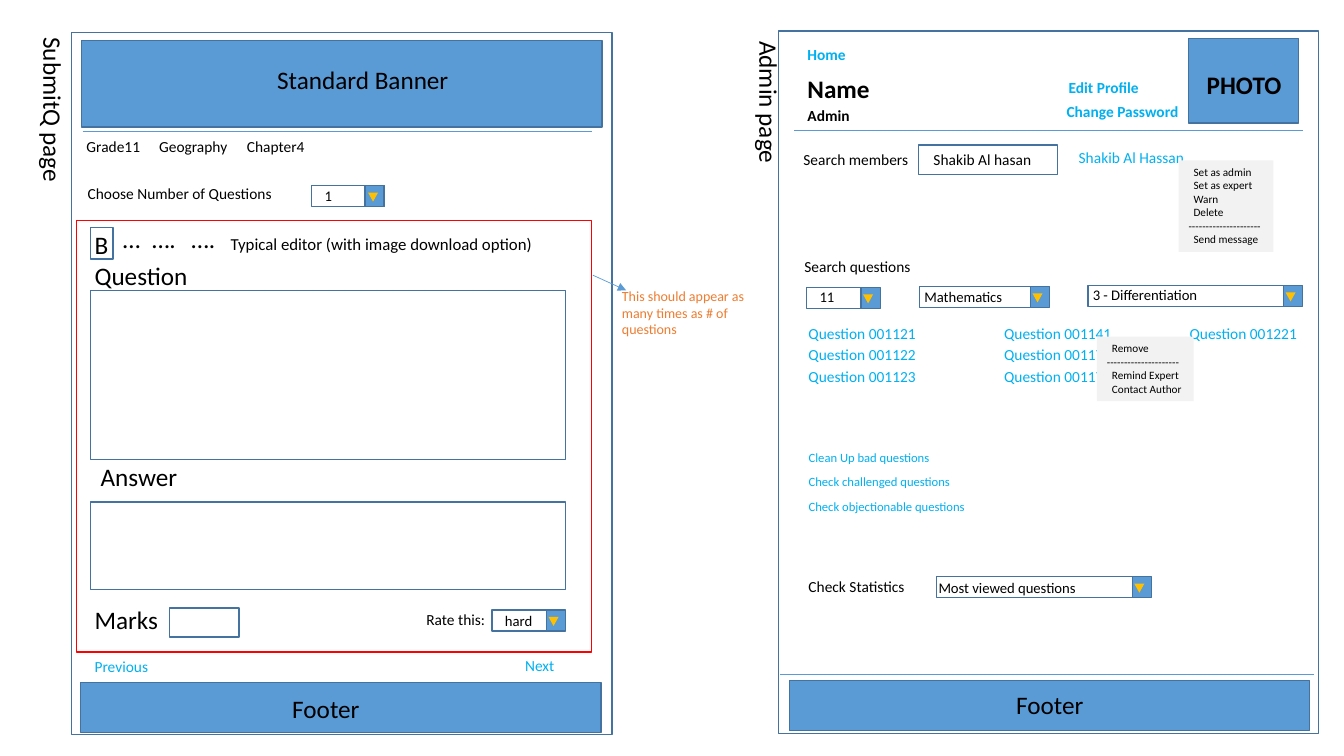
import dataclasses
import lxml.etree
import pptx
import pptx.dml.color
import pptx.enum.shapes
import pptx.enum.text
import pptx.oxml.ns
import pptx.util

CELL = 0.1  # inches per grid column and row
BLACK, LINK, NOTE = "000000", "00B0F0", "ED7D31"
BLUE, EDGE, GOLD, GREY, RED = "5B9BD5", "43739E", "FFC000", "F2F2F2", "FF0000"
SHAPES = pptx.enum.shapes.MSO_SHAPE
NORMAL, HEADING = 11, 18


@dataclasses.dataclass
class Box:
    """An area measured in grid columns and rows."""
    left: float
    top: float
    width: float
    height: float

    def inner(self, left, top, width, height):
        return Box(self.left + left, self.top + top, width, height)

    def lengths(self):
        return [pptx.util.Inches(round(value * CELL, 2))
                for value in dataclasses.astuple(self)]


def color(value):
    return pptx.dml.color.RGBColor.from_string(value)


def add_block(area, fill=None, edge=EDGE, kind=SHAPES.RECTANGLE):
    shape = page.shapes.add_shape(kind, *area.lengths())
    shape.shadow.inherit = False
    if fill:
        shape.fill.solid()
        shape.fill.fore_color.rgb = color(fill)
    else:
        shape.fill.background()
    if edge:
        shape.line.color.rgb = color(edge)
        shape.line.width = pptx.util.Pt(1)
    else:
        shape.line.fill.background()
    return shape


def add_text(text, box, left, top, width, height=None, shape=None, size=NORMAL,
             ink=BLACK, bold=False, wrap=False, vertical=False, indent=0, gap=0):
    """Write text lines into the given shape, or into a new text box."""
    lines = text.split("\n")
    if height is None:
        height = 1 + len(lines) * size * 0.17
    lengths = box.inner(left, top, width, height).lengths()
    if shape is None:
        shape = page.shapes.add_textbox(*lengths)
    else:
        shape.left, shape.top, shape.width, shape.height = lengths
    frame = shape.text_frame
    frame.word_wrap = wrap
    frame.vertical_anchor = pptx.enum.text.MSO_ANCHOR.TOP
    frame.auto_size = pptx.enum.text.MSO_AUTO_SIZE.SHAPE_TO_FIT_TEXT
    if vertical:
        frame._txBody.bodyPr.set("vert", "eaVert")
    for number, line in enumerate(lines):
        para = frame.add_paragraph() if number else frame.paragraphs[0]
        para.alignment = pptx.enum.text.PP_ALIGN.LEFT
        para.space_before = pptx.util.Pt(0)
        para.space_after = pptx.util.Pt(gap)
        settings = para._p.get_or_add_pPr()
        margin = 0 if line.startswith("-") else pptx.util.Inches(indent)
        settings.set("marL", str(margin))
        settings.set("indent", "0")
        lxml.etree.SubElement(settings, pptx.oxml.ns.qn("a:buNone"))
        span = para.add_run()
        span.text = line
        span.font.name = "Calibri"
        span.font.size = pptx.util.Pt(size)
        span.font.bold = bold
        span.font.color.rgb = color(ink)


def add_line(box, left, top, right, bottom, arrow=False):
    start = box.inner(left, top, 0, 0).lengths()[:2]
    end = box.inner(right, bottom, 0, 0).lengths()[:2]
    line = page.shapes.add_connector(
        pptx.enum.shapes.MSO_CONNECTOR.STRAIGHT, *start, *end)
    line.line.color.rgb = color(BLUE)
    line.line.width = pptx.util.Pt(0.5)
    if arrow:
        lxml.etree.SubElement(line.line._get_or_add_ln(),
                              pptx.oxml.ns.qn("a:tailEnd"), type="triangle")
    lxml.etree.SubElement(line._element.spPr, pptx.oxml.ns.qn("a:effectLst"))


def add_dropdown(label, box, left, top, width, label_width, shift=0.3):
    field = box.inner(left, top, width, 2.1)
    add_block(field)
    add_block(field.inner(width - 1.85, 0, 1.85, 2.1), BLUE)
    arrow = add_block(field.inner(width - 1.6, 0.7, 1, 0.9), GOLD, None,
                      SHAPES.ISOSCELES_TRIANGLE)
    arrow.rotation = 180
    add_text(label, field, shift, -0.35, label_width, size=10.5)


def add_menu(text, box, left, top, width, height):
    menu = add_block(box.inner(left, top, width, height), GREY, None)
    add_text(text, box, left, top, width, height, shape=menu, size=8, indent=0.05)


def add_footer(box, left, top, label_left, label_top):
    add_block(box.inner(left, top, 51.6, 5), BLUE)
    add_text("Footer", box, label_left, label_top, 8.8, size=HEADING)


def add_editor(box):
    # Toolbar
    add_text("B", box, 0.8, 0.4, 3.6, size=HEADING, wrap=True)
    add_block(box.inner(1.4, 0.7, 2.2, 3.1))
    for dots, left, width in (("…", 3.6, 3.7), ("….", 6.5, 4.4), ("….", 10.4, 4.4)):
        add_text(dots, box, left, -0.2, width, size=HEADING)
    add_text("Typical editor (with image download option)", box, 14.3, 0.8, 32.3, size=12)
    # Headings and their fields
    add_text("Question", box, 0.8, 3.4, 11.4, size=HEADING)
    add_text("Answer", box, 1.4, 23.4, 9.7, size=HEADING)
    add_text("Marks", box, 0.8, 37.6, 8.4, size=HEADING)
    for field in ((1.4, 6.9, 47.1, 16.8), (1.4, 27.9, 47.1, 8.7), (9.2, 38.4, 6.9, 2.9)):
        add_block(box.inner(*field))
    add_text("Rate this:", box, 33.7, 38.1, 7.9)
    add_dropdown("hard", box, 41.2, 38.6, 7.2, 4.8)
    # Outline and side note
    add_block(box, edge=RED)
    add_text("This should appear as\nmany times as # of questions", box,
             53.1, 6.1, 14.5, 6.1, size=10, ink=NOTE, wrap=True)
    add_line(box, 51.2, 5.4, 54.5, 6.9, arrow=True)


def add_submit_page(box):
    add_block(box)
    add_text("SubmitQ page", box, -4.3, 0, 5, 15.5, shape=page.shapes.title,
             size=HEADING, vertical=True)
    # Banner and breadcrumbs
    add_line(box, 1.1, 9.8, 51.6, 9.8)
    add_block(box.inner(1, 0.8, 51.6, 8.6), BLUE)
    add_text("Standard Banner", box, 19.4, 2.7, 19.2, size=HEADING)
    for crumb, left, width in (("Grade11", 0.5, 7.4), ("Geography", 7.7, 8.9),
                               ("Chapter4", 16.4, 7.8)):
        add_text(crumb, box, left, 9.85, width)
    add_text("Choose Number of Questions", box, 0.6, 14.6, 20.5)
    add_dropdown("1", box, 23.8, 15.2, 7.2, 2.8)
    add_editor(box.inner(0.5, 18.7, 51.1, 42.8))
    # Paging and footer
    add_text("Previous", box, 1.3, 61.5, 7.4, ink=LINK)
    add_text("Next", box, 44, 61.4, 5, ink=LINK)
    add_footer(box, 0.9, 64.5, 20.9, 65.1)


def add_admin_page(box):
    add_block(box)
    add_text("Admin page", box, -3.9, 0, 5, 13.3, size=HEADING, vertical=True)
    # Profile header
    add_line(box, 1.6, 9.8, 52, 9.8)
    add_block(box.inner(40.7, 0.7, 10.9, 8.4), BLUE)
    add_text("PHOTO", box, 41.5, 3.3, 9.5, size=HEADING, bold=True)
    add_text("Name", box, 1.9, 3.7, 8.2, size=HEADING, bold=True)
    add_text("Admin", box, 1.9, 6.9, 6.2, bold=True)
    for link, left, top, width in (("Home", 1.9, 0.9, 5.9), ("Edit Profile", 27.8, 4.2, 9.1),
                                   ("Change Password", 27.6, 6.5, 13.3)):
        add_text(link, box, left, top, width, ink=LINK, bold=True)
    # Member search
    add_text("Search members", box, 1.5, 11.3, 12.5)
    add_block(box.inner(13.9, 11.3, 13.8, 2.9))
    add_text("Shakib Al hasan", box, 14.4, 11.3, 11.7)
    add_text("Shakib Al Hassan", box, 28.8, 11.1, 12.5, ink=LINK)
    add_menu("Set as admin\nSet as expert\nWarn\nDelete\n---------------------\nSend message",
             box, 39.7, 12.8, 9.4, 9.1)
    # Question search
    add_text("Search questions", box, 1.6, 21.9, 12.6)
    add_dropdown("11", box, 2.8, 25.4, 7.2, 3.6)
    add_dropdown("Mathematics", box, 14, 25.3, 12.8, 9.9, shift=-0.5)
    add_dropdown("3 - Differentiation", box, 30.7, 25.2, 21.2, 12.7, shift=-0.5)
    results = {2: ("001121", "001122", "001123"), 21.4: ("001141", "001171", "001172"),
               39.8: ("001221",)}
    for left, codes in results.items():
        for code, top in zip(codes, (28.6, 30.6, 32.8)):
            add_text(f"Question {code}", box, left, top, 12.8, ink=LINK)
    add_menu("Remove\n---------------------\nRemind Expert\nContact Author",
             box, 31.6, 30.3, 9.6, 6.4)
    # Maintenance links and statistics
    add_text("Clean Up bad questions\nCheck challenged questions\nCheck objectionable questions",
             box, 2, 41, 17.7, 7.4, shape=page.placeholders[1], size=9, ink=LINK, gap=6.7)
    add_text("Check Statistics", box, 2, 53.7, 11.6)
    add_dropdown("Most viewed questions", box, 15.7, 54.1, 21.2, 15.9, shift=-0.8)
    # Footer
    add_line(box, 0.2, 63.8, 53.1, 63.8)
    add_footer(box, 1.1, 64.4, 22.6, 64.8)


deck = pptx.Presentation()
deck.slide_width = pptx.util.Inches(13.33)
deck.slide_height = pptx.util.Inches(7.5)
page = deck.slides.add_slide(deck.slide_layouts[1])
add_submit_page(Box(7.1, 3.2, 53.6, 69.7))
add_admin_page(Box(77.2, 3.1, 53.6, 69.7))
deck.save("out.pptx")
